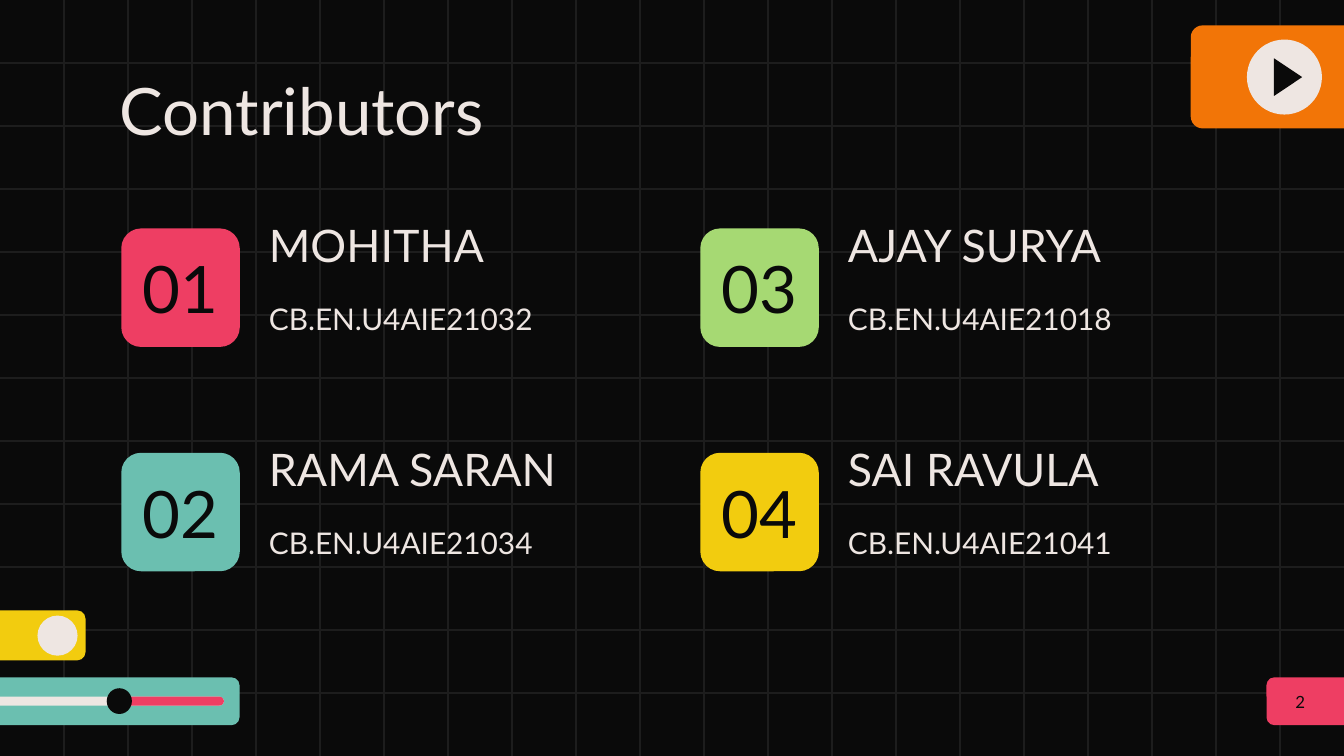
from lxml import etree
from pptx import Presentation
from pptx import util as u
from pptx.dml.color import RGBColor
from pptx.enum import shapes, text
from pptx.oxml import ns

BLACK = RGBColor(0x0A, 0x0A, 0x0A)
GRID = RGBColor(0x1D, 0x1D, 0x1D)
CREAM = RGBColor(0xEE, 0xE6, 0xE2)
PINK = RGBColor(0xEE, 0x3E, 0x63)
TEAL = RGBColor(0x6B, 0xBF, 0xB0)
GREEN = RGBColor(0xA6, 0xD9, 0x73)
YELLOW = RGBColor(0xF2, 0xCC, 0x0F)
ORANGE = RGBColor(0xF2, 0x75, 0x07)

ROUND = shapes.MSO_SHAPE.ROUNDED_RECTANGLE
OVAL = shapes.MSO_SHAPE.OVAL
TAB = shapes.MSO_SHAPE.ROUND_2_SAME_RECTANGLE
CENTER = text.PP_ALIGN.CENTER
LEFT = text.PP_ALIGN.LEFT
TOP = text.MSO_ANCHOR.TOP
MIDDLE = text.MSO_ANCHOR.MIDDLE

TITLE = "Contributors"
PAGE = "2"
CONTRIBUTORS = [
    ("01", "MOHITHA", "CB.EN.U4AIE21032", PINK),
    ("02", "RAMA SARAN", "CB.EN.U4AIE21034", TEAL),
    ("03", "AJAY SURYA", "CB.EN.U4AIE21018", GREEN),
    ("04", "SAI RAVULA", "CB.EN.U4AIE21041", YELLOW),
]
DECORATIONS = [
    (ROUND, (-48.24, 362.9, 176.6, 25.6), TEAL, [0.167]),
    (ROUND, (-40.3, 373.2, 160.3, 4.8), CREAM, [0.5]),
    (ROUND, (62, 373.2, 58, 4.8), PINK, [0.5]),
    (OVAL, (57.2, 368.7, 13.5, 13.8), BLACK, []),
    (ROUND, (-18, 327, 63.8, 26.8), YELLOW, [0.167]),
    (OVAL, (20.1, 329.8, 21.5, 21.5), CREAM, []),
    (ROUND, (637.9, 13.6, 100.1, 55.2), ORANGE, [0.116]),
    (OVAL, (668, 21.2, 40.2, 40.2), CREAM, []),
]
PLAY = [(682.5, 31.2), (682.5, 51.4), (697.6, 41.3)]
WIDTH, HEIGHT = 720, 405
COLUMNS, ROWS = 21, 12
TILE = 63.5
LEFT_X, TOP_Y = 65, 122.4
STEP_X, STEP_Y = 310.2, 120.2


def paint(sp, color):
    sp.shadow.inherit = False
    sp.fill.solid()
    sp.fill.fore_color.rgb = color
    sp.line.fill.background()


def add_block(s, kind, box, color, adjustments):
    sp = s.shapes.add_shape(kind, *map(u.Pt, box))
    for i, value in enumerate(adjustments):
        sp.adjustments[i] = value
    paint(sp, color)
    return sp


def add_line(s, x1, y1, x2, y2):
    line = s.shapes.add_connector(
        shapes.MSO_CONNECTOR.STRAIGHT, *map(u.Pt, (x1, y1, x2, y2)))
    line.line.color.rgb = GRID
    line.line.width = u.Pt(0.75)
    etree.SubElement(line.element.spPr, ns.qn("a:effectLst"))


def add_text(s, words, box, size, color, align=LEFT, anchor=MIDDLE):
    tf = s.shapes.add_textbox(*map(u.Pt, box)).text_frame
    frame = {"word_wrap": True, "vertical_anchor": anchor}
    frame.update({"margin_" + side: u.Pt(7.2)
                  for side in ("left", "top", "right", "bottom")})
    for name, value in frame.items():
        setattr(tf, name, value)
    p = tf.paragraphs[0]
    p.alignment = align
    r = p.add_run()
    r.text = words
    for name, value in {"name": "Lato", "size": u.Pt(size)}.items():
        setattr(r.font, name, value)
    r.font.color.rgb = color


def add_contributor(s, x, y, number, name, roll, color):
    add_block(s, ROUND, (x, y, TILE, TILE), color, [0.167])
    add_text(s, number, (x + 1.4, y + 10.8, 60.6, 41.8), 35, BLACK, CENTER)
    add_text(s, name, (x + 72, y - 6.4, 230, 29.5), 24, CREAM)
    add_text(s, roll, (x + 72, y + 21, 216, 54.7), 16, CREAM)


def main():
    prs = Presentation()
    prs.slide_width, prs.slide_height = u.Pt(WIDTH), u.Pt(HEIGHT)
    s = prs.slides.add_slide(prs.slide_layouts[6])
    s.background.fill.solid()
    s.background.fill.fore_color.rgb = BLACK

    for i in range(1, ROWS):
        y = HEIGHT / ROWS * i
        add_line(s, 0, y, WIDTH, y)
    for i in range(1, COLUMNS):
        x = WIDTH / COLUMNS * i
        add_line(s, x, 0, x, HEIGHT)

    page_tab = add_block(s, TAB, (686.4, 355, 25.6, 41.4), PINK, [0, 0.162])
    page_tab.rotation = 90
    for decoration in DECORATIONS:
        add_block(s, *decoration)
    points = [(u.Pt(x), u.Pt(y)) for x, y in PLAY]
    builder = s.shapes.build_freeform(*points[0])
    builder.add_line_segments(points[1:], close=True)
    paint(builder.convert_to_shape(), BLACK)

    add_text(s, TITLE, (57, 30.3, 607, 46.8), 35, CREAM, anchor=TOP)
    for i, contributor in enumerate(CONTRIBUTORS):
        column, row = divmod(i, 2)
        add_contributor(s, LEFT_X + column * STEP_X, TOP_Y + row * STEP_Y,
                        *contributor)
    add_text(s, PAGE, (679, 362.9, 35.2, 25.6), 9, BLACK, CENTER)
    prs.save("out.pptx")


if __name__ == "__main__":
    main()
